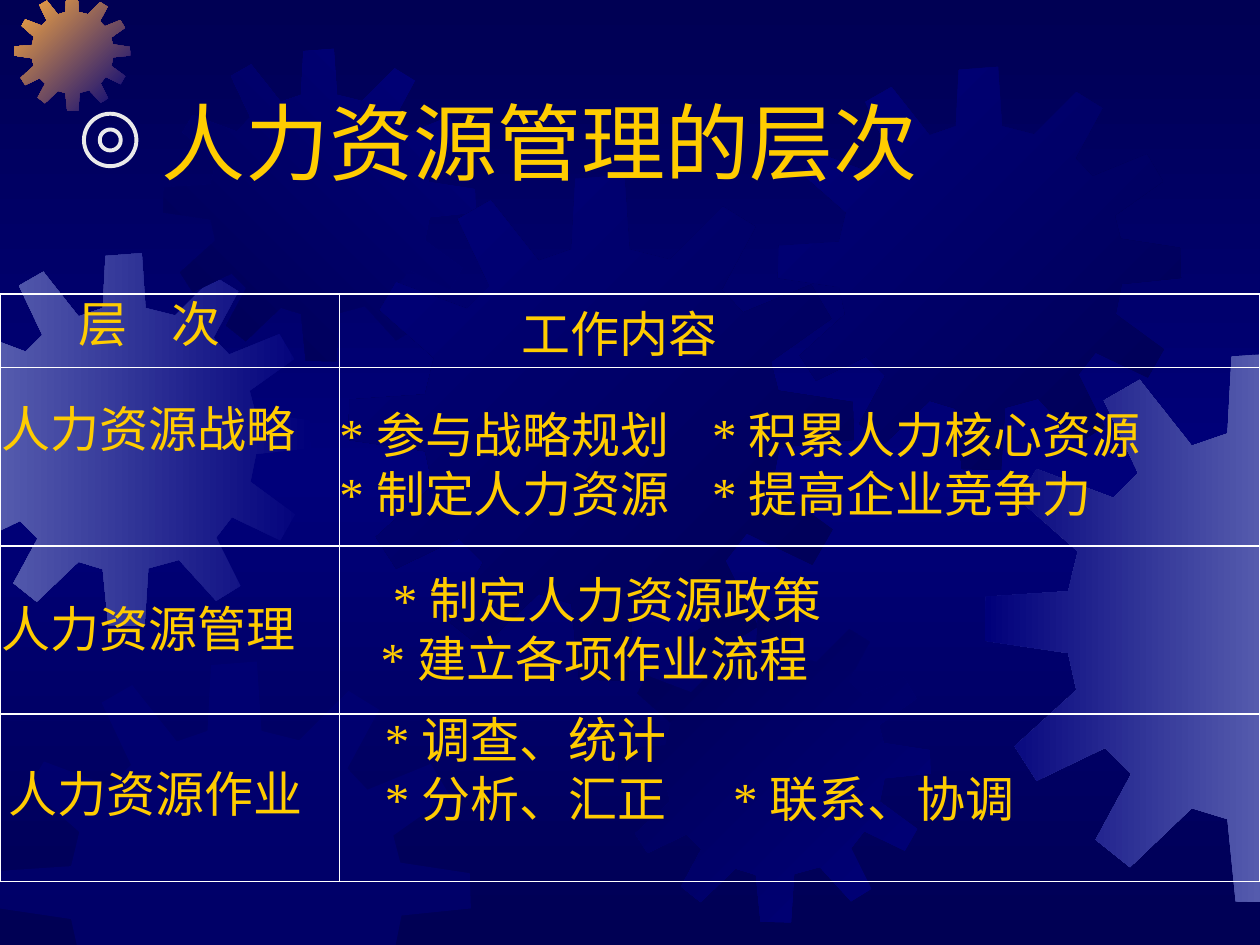
import copy

import pptx
import pptx.dml.color
import pptx.enum.shapes
import pptx.enum.text
import pptx.oxml
import pptx.oxml.ns
import pptx.util

Pt = pptx.util.Pt
qn = pptx.oxml.ns.qn
WIDTH, HEIGHT = 720, 540
FONT, GOLD, WHITE = "Times New Roman", "FFCC00", "FFFFFF"
NAVY, BLUE, LILAC, ORANGE = "000054", "00007A", "555BAD", "FCAB40"
XMLNS = 'xmlns:a="http://schemas.openxmlformats.org/drawingml/2006/main"'

GEAR_SIZE = 401
GEAR = [
    (255, 67), (223, 59), (219, 0), (180, 3), (177, 59), (151, 68),
    (113, 20), (87, 35), (112, 88), (94, 106), (38, 85), (25, 107),
    (68, 145), (61, 174), (1, 178), (0, 210), (61, 219), (67, 246),
    (22, 287), (38, 312), (88, 288), (107, 307), (81, 355), (106, 375),
    (151, 332), (177, 340), (183, 400), (222, 401), (226, 339), (259, 330),
    (299, 374), (325, 358), (299, 306), (316, 284), (368, 309), (384, 281),
    (336, 246), (342, 216), (401, 210), (400, 180), (341, 171), (335, 148),
    (383, 114), (367, 87), (313, 109), (296, 91), (323, 41), (297, 25),
]
GEARS = [
    (-35.3, 144.7, 213, BLUE, LILAC, 180),
    (8.2, -2.9, 66.2, BLUE, ORANGE, 135),
    (93.2, 27.9, 178.6, BLUE, NAVY, 225),
    (199, 100, 289, NAVY, BLUE, 135),
    (-0.4, 378, 269.5, BLUE, None, None),
    (353.1, 348.5, 178.6, BLUE, NAVY, 135),
    (444.5, 38.2, 230.4, NAVY, BLUE, 135),
    (562.6, 201.4, 314.5, LILAC, BLUE, 180),
]

ROWS = [
    (42, (45, 2, [("层\t次", 0)], 53), (104, 8, [("工作内容", 0)], None)),
    (102, (1, 20, [("人力资源战略", 0)], None),
     (0, 24, [("* 参与战略规划\t* 积累人力核心资源", 0),
              ("* 制定人力资源\t* 提高企业竞争力", 0)], 213)),
    (96, (1, 32.5, [("人力资源管理", 0)], None),
     (23.5, 16, [("* 制定人力资源政策", 7), ("* 建立各项作业流程", 0)], None)),
    (96, (5, 31, [("人力资源作业", 0)], None),
     (26, 0, [("* 调查、统计", 0), ("* 分析、汇正\t* 联系、协调", 0)], 199)),
]


def rgb(value):
    return pptx.dml.color.RGBColor.from_string(value)


def add_text(p, text, size=28, color=GOLD, indent=0, tab=None, spacing=None):
    p.alignment = pptx.enum.text.PP_ALIGN.LEFT
    if spacing:
        p.line_spacing = Pt(spacing)
    pPr = p._p.get_or_add_pPr()
    if indent:
        pPr.set("indent", str(Pt(indent)))
    if tab:
        pPr.append(pptx.oxml.parse_xml(
            f'<a:tabLst {XMLNS}><a:tab pos="{Pt(tab)}" algn="l"/></a:tabLst>'))
    r = p.add_run()
    r.text = text
    r.font.name, r.font.size = FONT, Pt(size)
    r.font.color.rgb = rgb(color)


def set_gradient(fill, colors, angle):
    fill.gradient()
    fill.gradient_angle = angle
    stops = fill.gradient_stops
    if len(colors) == 3:
        stops[0]._gs.addnext(copy.deepcopy(stops[0]._gs))
        stops = fill.gradient_stops
    for i, (stop, color) in enumerate(zip(stops, colors)):
        stop.color.rgb = rgb(color)
        stop.position = i / (len(colors) - 1)


def clip(points, axis, limit, sign):
    kept = []
    for a, b in zip(points, points[1:] + points[:1]):
        da, db = sign * (limit - a[axis]), sign * (limit - b[axis])
        if da >= 0:
            kept.append(a)
        if da * db < 0:
            t = da / (da - db)
            kept.append((a[0] + t * (b[0] - a[0]), a[1] + t * (b[1] - a[1])))
    return kept


def add_gear(s, left, top, size, start, end, angle):
    k = size / GEAR_SIZE
    points = [(left + x * k, top + y * k) for x, y in GEAR]
    for axis, limit, sign in ((0, 0, -1), (0, WIDTH, 1), (1, 0, -1), (1, HEIGHT, 1)):
        points = clip(points, axis, limit, sign)
    points = [(Pt(x), Pt(y)) for x, y in points]
    builder = s.shapes.build_freeform(*points[0], scale=1.0)
    builder.add_line_segments(points[1:], close=True)
    sp = builder.convert_to_shape()
    sp.shadow.inherit = False
    sp.line.fill.background()
    if end:
        set_gradient(sp.fill, (start, end), angle)
    else:
        sp.fill.solid()
        sp.fill.fore_color.rgb = rgb(start)
        color = sp._element.spPr.find(qn("a:solidFill"))[0]
        color.append(pptx.oxml.parse_xml(f'<a:alpha {XMLNS} val="50000"/>'))


def add_title(s, left, top, width, height):
    sp = s.shapes.title
    s.shapes._spTree.append(sp._element)
    sp.left, sp.top, sp.width, sp.height = map(Pt, (left, top, width, height))
    tf = sp.text_frame
    tf.word_wrap = True
    tf.auto_size = pptx.enum.text.MSO_AUTO_SIZE.NONE
    tf.vertical_anchor = pptx.enum.text.MSO_ANCHOR.TOP
    add_text(tf.paragraphs[0], "人力资源管理的层次", size=48)


def add_bullseye(s, cx, cy, diameters):
    for d in diameters:
        sp = s.shapes.add_shape(pptx.enum.shapes.MSO_SHAPE.OVAL,
                                Pt(cx - d / 2), Pt(cy - d / 2), Pt(d), Pt(d))
        sp.shadow.inherit = False
        sp.fill.background()
        sp.line.color.rgb = rgb("EAEAEA")
        sp.line.width = Pt(2.25)


def set_borders(cell):
    tcPr = cell._tc.get_or_add_tcPr()
    for i, side in enumerate("LRTB"):
        tcPr.insert(i, pptx.oxml.parse_xml(
            f'<a:ln{side} {XMLNS} w="{Pt(0.75)}"><a:solidFill>'
            f'<a:srgbClr val="{WHITE}"/></a:solidFill></a:ln{side}>'))


def add_level_table(s, left, top, width, height):
    table = s.shapes.add_table(len(ROWS), 2, Pt(left), Pt(top), Pt(width), Pt(height)).table
    table.first_row = table.horz_banding = False
    first = 194
    table.columns[0].width, table.columns[1].width = Pt(first), Pt(width - first)
    for i, (row_height, *cells) in enumerate(ROWS):
        table.rows[i].height = Pt(row_height)
        for j, (inset, drop, lines, tab) in enumerate(cells):
            cell = table.cell(i, j)
            cell.margin_left, cell.margin_top = Pt(inset), Pt(drop)
            cell.margin_right = cell.margin_bottom = Pt(0)
            cell.fill.background()
            set_borders(cell)
            tf = cell.text_frame
            for n, (text, indent) in enumerate(lines):
                p = tf.add_paragraph() if n else tf.paragraphs[0]
                add_text(p, text, indent=indent, tab=tab, spacing=33.5)


def main():
    prs = pptx.Presentation()
    prs.slide_width, prs.slide_height = Pt(WIDTH), Pt(HEIGHT)
    s = prs.slides.add_slide(prs.slide_layouts[5])
    set_gradient(s.background.fill, (NAVY, BLUE, NAVY), 270)
    for gear in GEARS:
        add_gear(s, *gear)
    add_title(s, 85, 48, 491, 65)
    add_bullseye(s, 63, 80, (30, 12))
    add_level_table(s, 0, 168, WIDTH, 336)
    prs.save("out.pptx")


if __name__ == "__main__":
    main()
